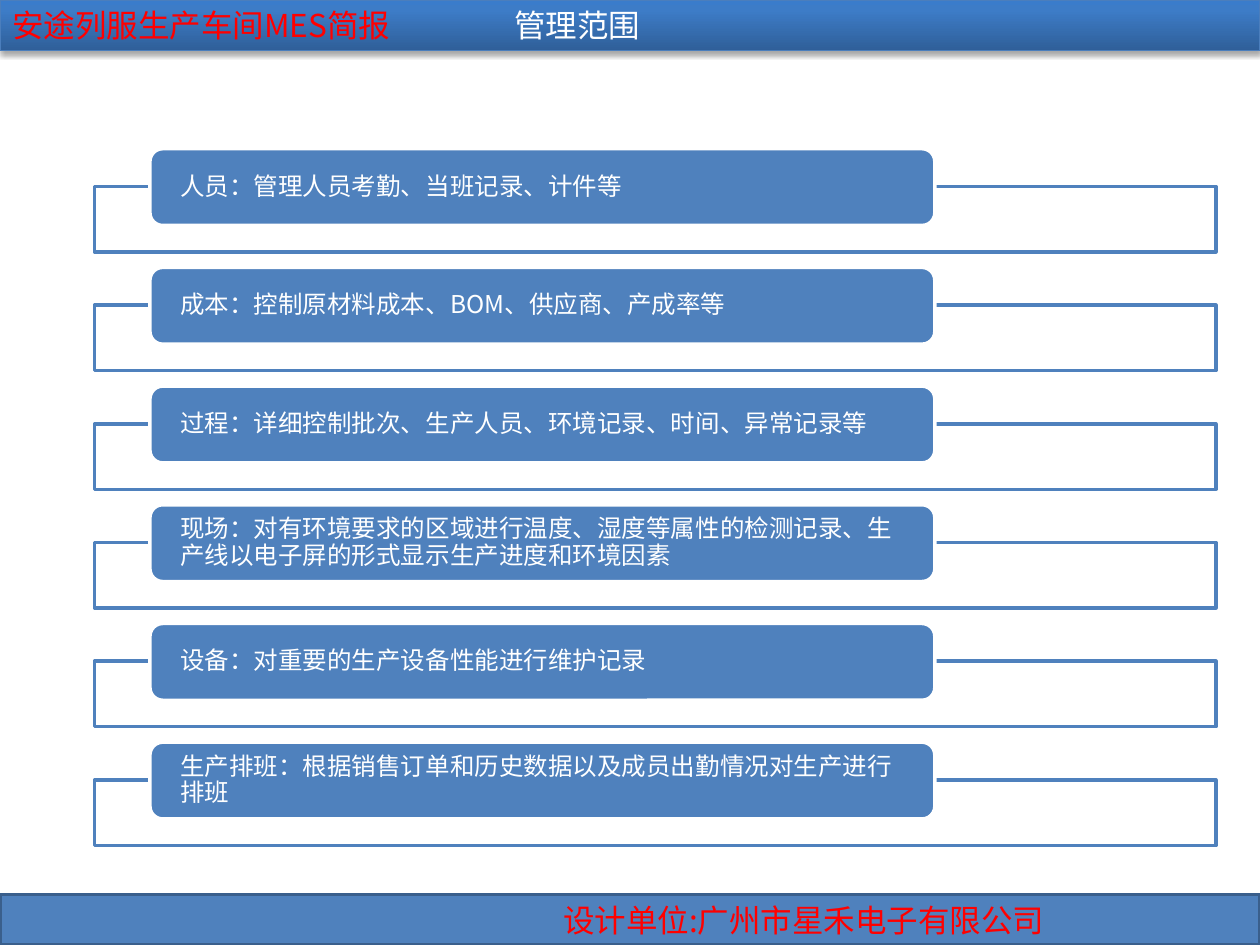
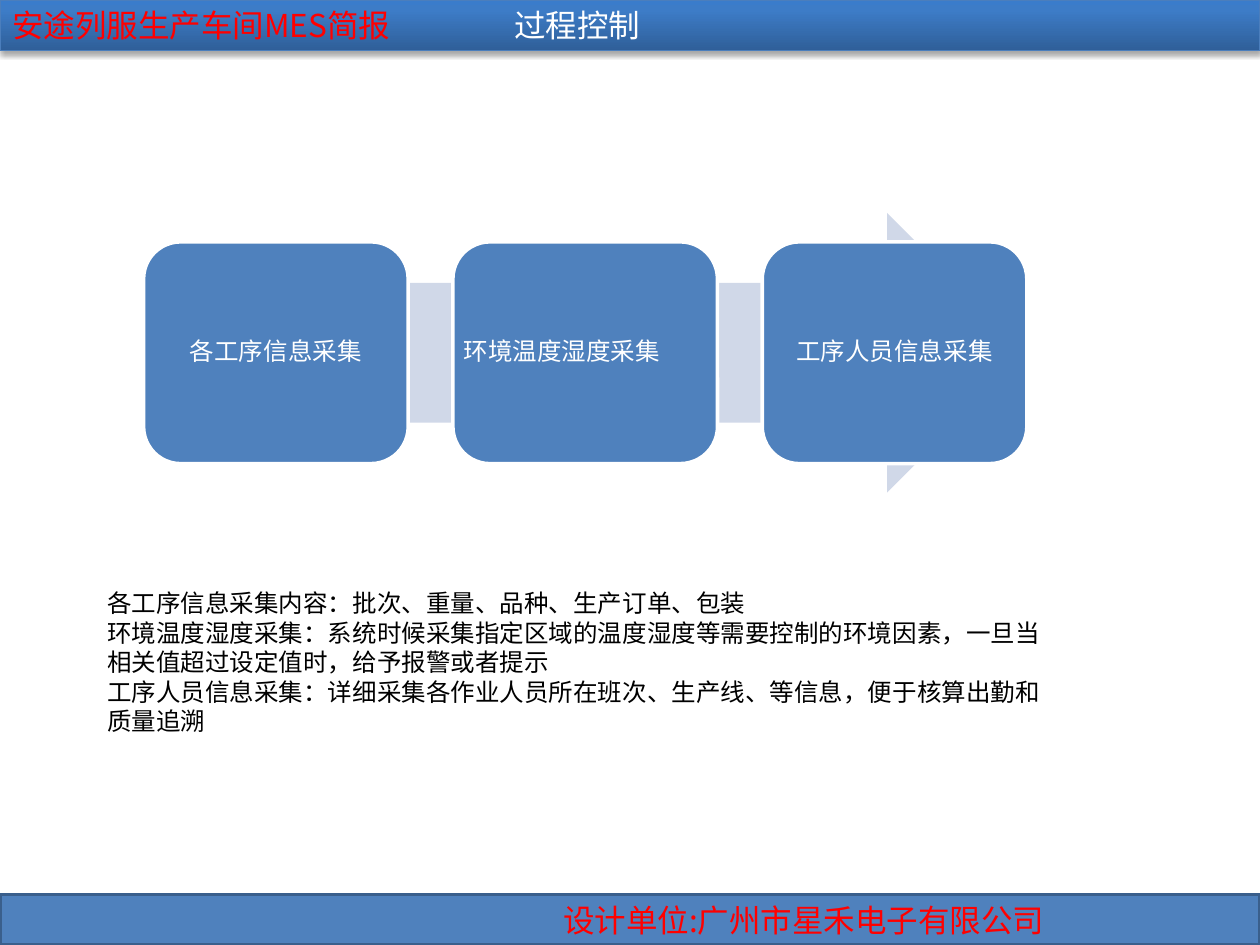
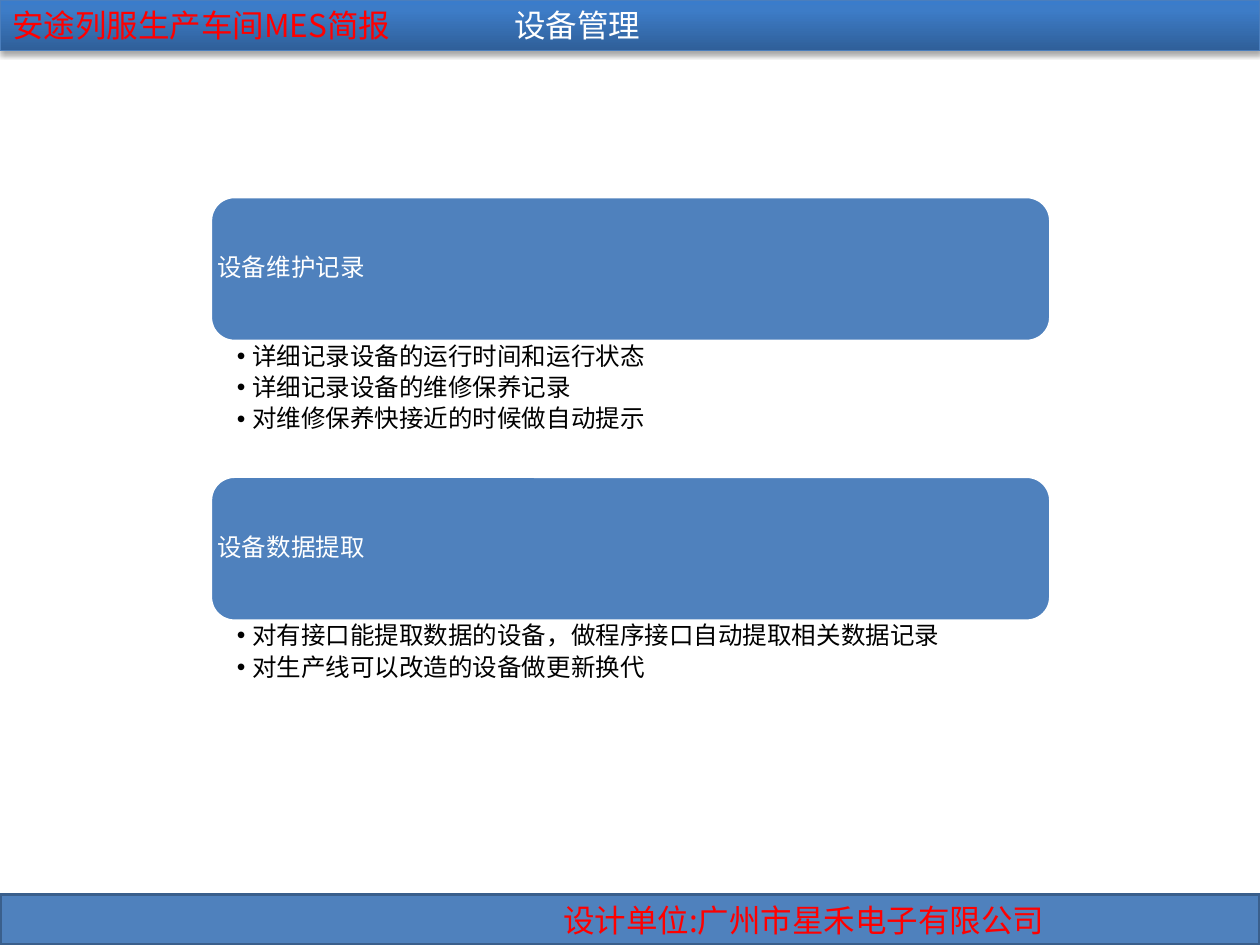
from dataclasses import dataclass

from pptx import Presentation
from pptx.dml.color import RGBColor
from pptx.enum.shapes import MSO_SHAPE as Shape
from pptx.enum.text import MSO_ANCHOR as Anchor, MSO_AUTO_SIZE as AutoSize, PP_ALIGN as Align
from pptx.oxml import parse_xml
from pptx.oxml.ns import nsdecls, qn
from pptx.util import Inches, Pt


@dataclass(frozen=True)
class Theme:
    blue: str = "4F81BD"
    pale: str = "D0D8E8"
    white: str = "FFFFFF"
    black: str = "000000"
    red: str = "FF0000"
    header_line: str = "4B7EBC"
    footer_line: str = "3A5F8C"
    header_stops: tuple = ((0, "2F5F99"), (80, "3D7CC7"), (100, "3A7CCB"))
    font: str = "Noto Sans CJK SC"
    title_font: str = "Calibri"
    large: int = 18
    small: int = 14


T = Theme()

# Content
HEADER = "安途列服生产车间MES简报"
FOOTER = "设计单位:广州市星禾电子有限公司"

SCOPE_TITLE = "管理范围"
SCOPE = [
    "人员：管理人员考勤、当班记录、计件等",
    "成本：控制原材料成本、BOM、供应商、产成率等",
    "过程：详细控制批次、生产人员、环境记录、时间、异常记录等",
    "现场：对有环境要求的区域进行温度、湿度等属性的检测记录、生产线以电子屏的形式显示生产进度和环境因素",
    "设备：对重要的生产设备性能进行维护记录",
    "生产排班：根据销售订单和历史数据以及成员出勤情况对生产进行排班",
]

PROCESS_TITLE = "过程控制"
STEPS = [
    ("各工序信息采集", Align.CENTER),
    ("环境温度湿度采集", Align.LEFT),
    ("工序人员信息采集", Align.CENTER),
]
STEP_NOTES = [
    "各工序信息采集内容：批次、重量、品种、生产订单、包装",
    "环境温度湿度采集：系统时候采集指定区域的温度湿度等需要控制的环境因素，一旦当相关值超过设定值时，给予报警或者提示",
    "工序人员信息采集：详细采集各作业人员所在班次、生产线、等信息，便于核算出勤和质量追溯",
]

EQUIPMENT_TITLE = "设备管理"
EQUIPMENT = [
    ("设备维护记录", [
        "详细记录设备的运行时间和运行状态",
        "详细记录设备的维修保养记录",
        "对维修保养快接近的时候做自动提示",
    ]),
    ("设备数据提取", [
        "对有接口能提取数据的设备，做程序接口自动提取相关数据记录",
        "对生产线可以改造的设备做更新换代",
    ]),
]


# Shared helpers
def rgb(color):
    return RGBColor.from_string(color)


def place(sp, left, top, width, height):
    sp.left, sp.top, sp.width, sp.height = map(Inches, (left, top, width, height))


def write(sp, lines, color, size=T.small, font=T.font, align=Align.LEFT,
          spacing=1.0, after=0, insets=(0.1, 0.05, 0.1, 0.05), anchor=Anchor.MIDDLE):
    tf = sp.text_frame
    tf.auto_size, tf.word_wrap, tf.vertical_anchor = AutoSize.NONE, True, anchor
    tf.margin_left, tf.margin_top, tf.margin_right, tf.margin_bottom = map(Inches, insets)
    tf.text = "\n".join(lines)
    for p in tf.paragraphs:
        p.alignment, p.line_spacing = align, spacing
        p.space_before, p.space_after = Pt(0), Pt(after)
        p.font.size, p.font.name, p.font.color.rgb = Pt(size), font, rgb(color)
        defaults = p._p.pPr.find(qn("a:defRPr"))
        defaults.append(parse_xml(f'<a:ea {nsdecls("a")} typeface="{T.font}"/>'))
    return tf


def set_indent(tf, inches, bullet):
    for p in tf.paragraphs:
        pPr = p._p.pPr
        pPr.set("marL", str(Inches(inches)))
        pPr.set("indent", str(-Inches(inches)))
        if not bullet:
            pPr.find(qn("a:defRPr")).addprevious(parse_xml(f'<a:buNone {nsdecls("a")}/>'))


def add_box(s, kind, at, fill=None, line=None, weight=2):
    sp = s.shapes.add_shape(kind, *map(Inches, at))
    sp.shadow.inherit = False
    if fill:
        sp.fill.solid()
        sp.fill.fore_color.rgb = rgb(fill)
    if line:
        sp.line.color.rgb, sp.line.width = rgb(line), Pt(weight)
    else:
        sp.line.fill.background()
    return sp


def add_card(s, at, text, align=Align.LEFT, inset=0.0):
    sp = add_box(s, Shape.ROUNDED_RECTANGLE, at, T.blue, T.white)
    write(sp, [text], T.white, align=align, spacing=0.9, insets=(inset, 0, inset, 0))


def add_slide(prs, layout, title):
    s = prs.slides.add_slide(prs.slide_layouts[layout])
    place(s.shapes.title, 3.98, 0, 1.21, 0.4)
    write(s.shapes.title, [title], T.white, T.large, T.title_font).word_wrap = False
    return s


def add_bands(prs, s):
    """Draw the header and footer bands and move them to the master."""
    header = add_box(s, Shape.RECTANGLE, (0, 0, 10, 0.4), line=T.header_line, weight=0.75)
    stops = "".join(f'<a:gs pos="{pos * 1000}"><a:srgbClr val="{color}"/></a:gs>'
                    for pos, color in T.header_stops)
    spPr = header.element.spPr
    spPr.insert(2, parse_xml(
        f'<a:gradFill {nsdecls("a")} rotWithShape="1"><a:gsLst>{stops}</a:gsLst>'
        '<a:lin ang="16200000" scaled="0"/></a:gradFill>'))
    spPr.find(qn("a:effectLst")).append(parse_xml(
        f'<a:outerShdw {nsdecls("a")} blurRad="{Pt(3.1)}" dist="{Pt(1.8)}" dir="5400000" '
        'rotWithShape="0"><a:srgbClr val="000000"><a:alpha val="35000"/></a:srgbClr>'
        '</a:outerShdw>'))
    write(header, [HEADER], T.red, T.large)

    footer = add_box(s, Shape.RECTANGLE, (0, 7.1, 10, 0.4), T.blue, T.footer_line)
    write(footer, [FOOTER], T.red, T.large, insets=(4.47, 0.05, 0.1, 0.05))

    tree = prs.slide_master.element.cSld.spTree
    for i, band in enumerate((header, footer)):
        band.element.nvSpPr.cNvPr.set("id", str(100 + i))
        tree.insert(2 + i, band.element)


# Slides
def scope_slide(prs):
    s = add_slide(prs, 5, SCOPE_TITLE)
    add_bands(prs, s)
    first, last = 1.18, 5.89
    pitch = (last - first) / (len(SCOPE) - 1)
    for i, text in enumerate(SCOPE):
        top = first + i * pitch
        add_box(s, Shape.RECTANGLE, (0.75, top + 0.3, 8.9, 0.52), T.white, T.blue)
        add_card(s, (1.19, top, 6.23, 0.61), text, inset=0.21)


def process_slide(prs):
    s = add_slide(prs, 1, PROCESS_TITLE)
    left, width, card = 1.14, 7.01, 2.1
    add_box(s, Shape.RIGHT_ARROW, (left, 1.69, width, 2.22), T.pale)
    pitch = (width - card) / (len(STEPS) - 1)
    for i, (text, align) in enumerate(STEPS):
        add_card(s, (left + i * pitch, 1.92, card, 1.76), text, align)
    notes = s.placeholders[1]
    place(notes, 0.75, 4.62, 7.8, 1.28)
    set_indent(write(notes, STEP_NOTES, T.black, anchor=Anchor.TOP), 0, bullet=False)


def equipment_slide(prs):
    s = add_slide(prs, 3, EQUIPMENT_TITLE)
    left, width, heading = 1.67, 6.67, 1.15
    for i, (text, items) in enumerate(EQUIPMENT):
        top = 1.56 + i * 2.22
        add_card(s, (left, top, width, heading), text)
        body = s.placeholders[i + 1]
        place(body, left, top + heading, width, 1.05)
        tf = write(body, items, T.black, spacing=0.9, after=2.8,
                   insets=(0.21, 0.02, 0.11, 0.02), anchor=Anchor.TOP)
        set_indent(tf, 0.12, bullet=True)


def main():
    prs = Presentation()
    prs.slide_width, prs.slide_height = Inches(10), Inches(7.5)
    scope_slide(prs)
    process_slide(prs)
    equipment_slide(prs)
    prs.save("out.pptx")


if __name__ == "__main__":
    main()
